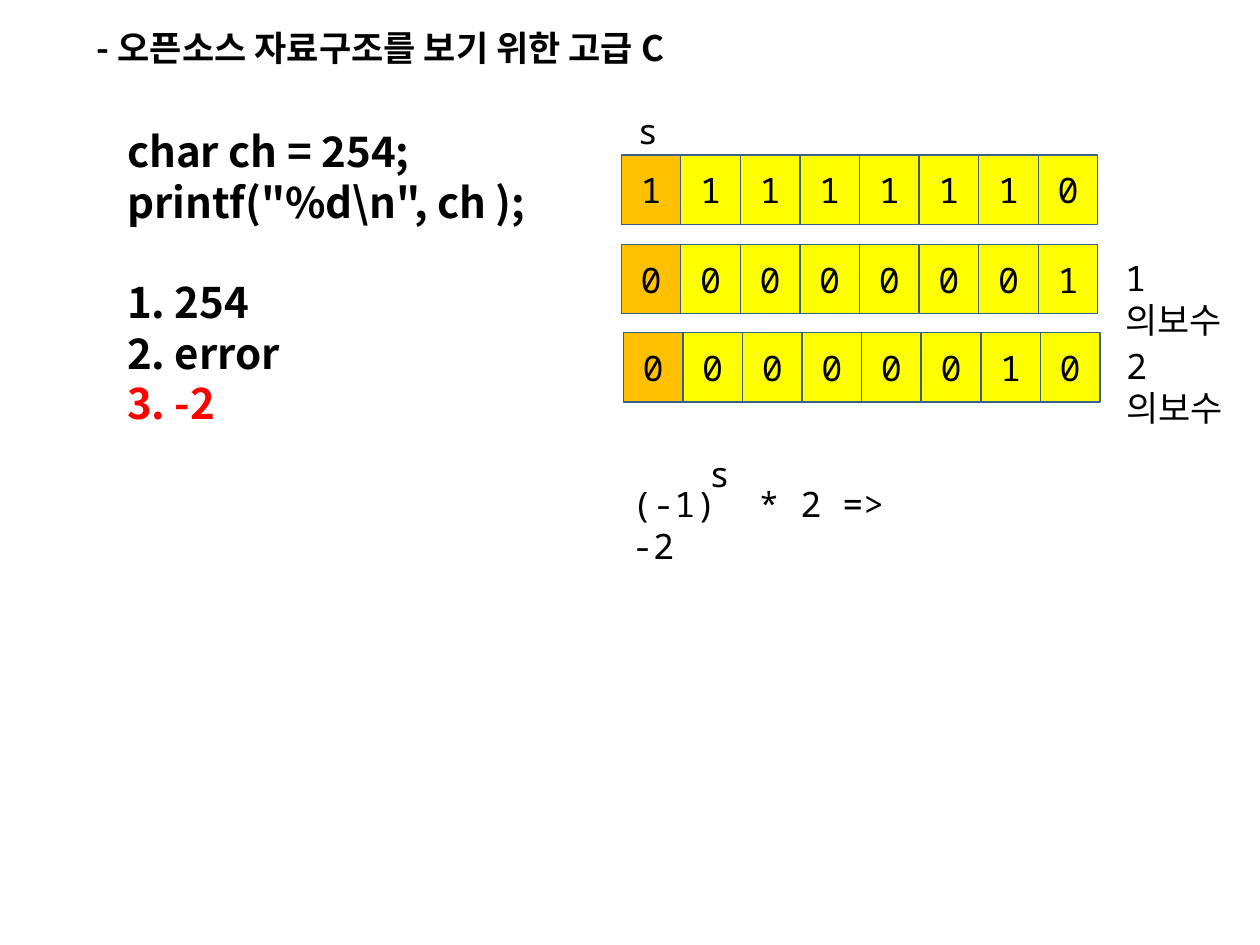
"""Build the slide on signed char values and two's complement."""
from dataclasses import dataclass

from pptx import Presentation
from pptx.dml.color import RGBColor
from pptx.enum.shapes import MSO_SHAPE as Shape
from pptx.enum.text import MSO_ANCHOR as Anchor, PP_ALIGN as Align
from pptx.oxml import parse_xml
from pptx.oxml.ns import nsdecls
from pptx.util import Pt

SANS = "Noto Sans CJK KR"
MONO = "Noto Sans Mono"
BLACK, RED, ORANGE, YELLOW, BLUE = "000000", "FF0000", "FFC000", "FFFF00", "3A5F8C"
CELL_WIDTH, CELL_HEIGHT, CELL_PITCH = 34, 39.6, 34.05


@dataclass
class Line:
    text: str
    color: str = BLACK
    space_before: float = 0


@dataclass
class Label:
    left: float
    top: float
    width: float
    height: float
    lines: list[Line]
    font: str = MONO
    size: float = 20
    bold: bool = False
    right_inset: float = 7.2


@dataclass
class BitRow:
    left: float
    top: float
    bits: str


LABELS = [
    Label(48.2, 9.4, 381, 31.7, [Line("- 오픈소스 자료구조를 보기 위한 고급 C")], SANS, 20, True),
    Label(65.5, 66.2, 245, 181.4, [
        Line("char ch = 254;"),
        Line('printf("%d\\n", ch );'),
        Line("1. 254", space_before=28.8),
        Line("2. error"),
        Line("3. -2", RED),
    ], SANS, 24, True),
    Label(357.1, 56.9, 25.9, 31.7, [Line("s")], right_inset=0),
    Label(398.2, 252.7, 25.9, 31.7, [Line("s")], right_inset=0),
    Label(354.2, 270, 181.4, 31.7, [Line("(-1)  * 2 => -2")]),
    Label(635.8, 141.1, 86.4, 31.7, [Line("1의보수")], right_inset=20),
    Label(636.5, 191.5, 86.4, 31.7, [Line("2의보수")], right_inset=20),
]
BIT_ROWS = [
    BitRow(355, 88.6, "11111110"),
    BitRow(355, 139.7, "00000001"),
    BitRow(356.2, 190.1, "00000010"),
]


def rgb(code: str) -> RGBColor:
    """Turn a hex string into a colour."""
    return RGBColor.from_string(code)


def add_span(para, text: str, font: str, size: float, color: str, bold: bool = False) -> None:
    """Add one formatted run to a paragraph."""
    span = para.add_run()
    span.text = text
    span.font.name = font
    span.font.size = Pt(size)
    span.font.bold = bold
    span.font.color.rgb = rgb(color)
    east_asian = parse_xml(f'<a:ea {nsdecls("a")} typeface="{SANS}"/>')
    span.font._element.append(east_asian)


def add_label(page, label: Label) -> None:
    """Add a text box with one paragraph for each line."""
    box = page.shapes.add_textbox(
        Pt(label.left), Pt(label.top), Pt(label.width), Pt(label.height))
    frame = box.text_frame
    frame.word_wrap = True
    frame.margin_top = Pt(5.6)
    frame.margin_right = Pt(label.right_inset)
    for index, line in enumerate(label.lines):
        para = frame.add_paragraph() if index else frame.paragraphs[0]
        para.line_spacing = Pt(label.size * 1.2)
        para.space_before = Pt(line.space_before)
        add_span(para, line.text, label.font, label.size, line.color, label.bold)


def add_bit_row(page, row: BitRow) -> None:
    """Add a row of bit cells, led by the sign bit."""
    for column, bit in enumerate(row.bits):
        cell = page.shapes.add_shape(
            Shape.RECTANGLE, Pt(row.left + column * CELL_PITCH), Pt(row.top),
            Pt(CELL_WIDTH), Pt(CELL_HEIGHT))
        cell.shadow.inherit = False
        cell.fill.solid()
        cell.fill.fore_color.rgb = rgb(YELLOW if column else ORANGE)
        cell.line.color.rgb = rgb(BLUE)
        cell.line.width = Pt(0.75)
        cell.text_frame.vertical_anchor = Anchor.MIDDLE
        para = cell.text_frame.paragraphs[0]
        para.alignment = Align.CENTER
        add_span(para, bit, MONO, 20, BLACK)


def main() -> None:
    """Draw the slide and save it."""
    deck = Presentation()
    deck.slide_width, deck.slide_height = Pt(720), Pt(540)
    page = deck.slides.add_slide(deck.slide_layouts[6])
    for row in BIT_ROWS:
        add_bit_row(page, row)
    for label in LABELS:
        add_label(page, label)
    deck.save("out.pptx")


main()
